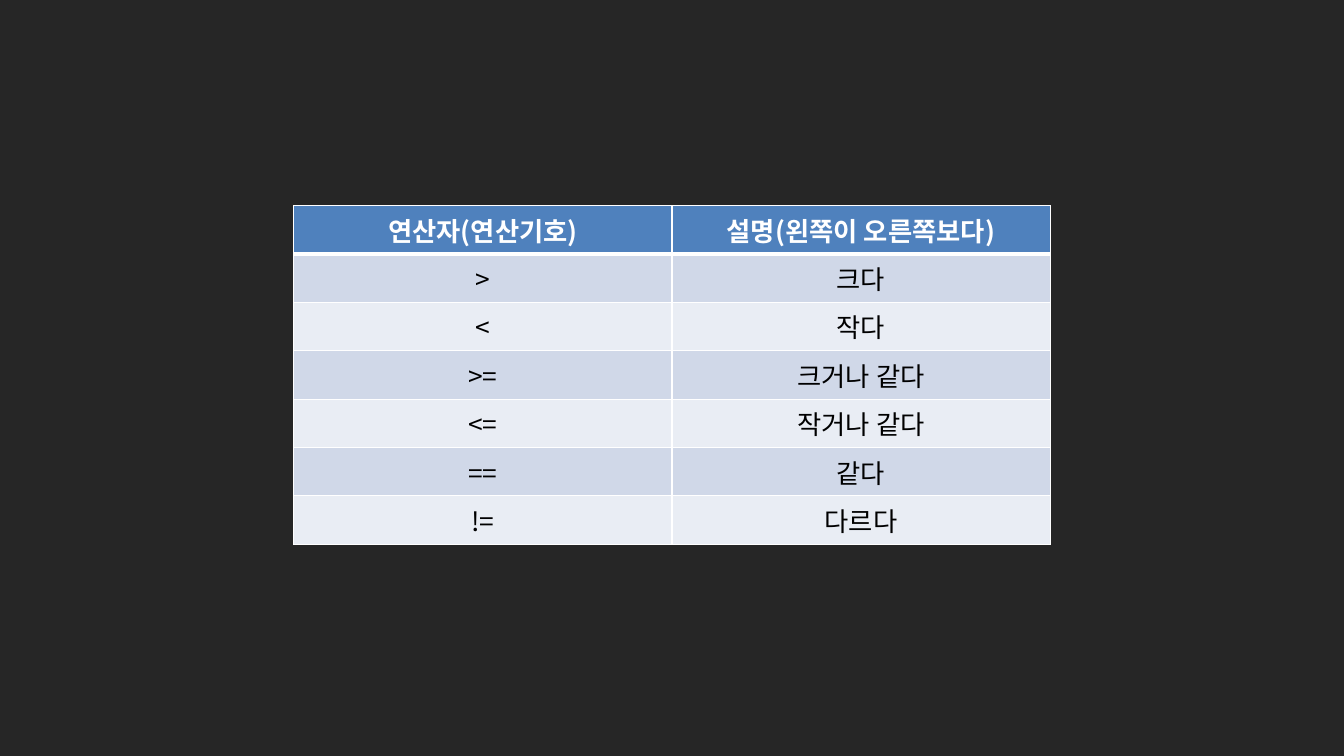
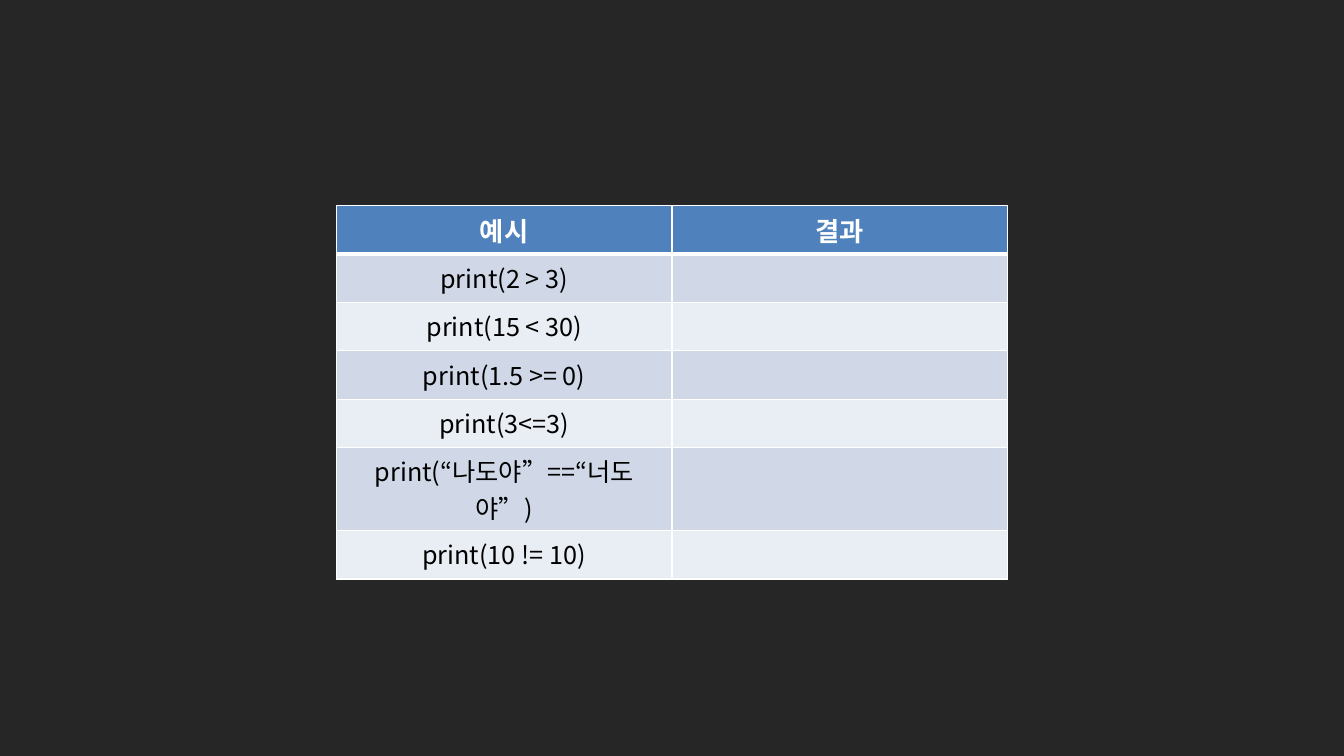
from dataclasses import dataclass

from lxml import etree
from pptx import Presentation
from pptx.dml.color import RGBColor
from pptx.enum import text
from pptx.oxml import ns
from pptx.util import Inches, Pt


@dataclass(frozen=True)
class Theme:
    font: str = "Noto Sans CJK KR"
    background: str = "262626"
    header_fill: str = "4F81BD"
    header_text: str = "FFFFFF"
    body_text: str = "000000"
    bands: tuple = ("D0D8E8", "E9EDF4")
    border: str = "FFFFFF"
    thin_line: float = 1
    header_line: float = 3
    header_size: float = 18.8


SLIDE_WIDTH, SLIDE_HEIGHT = 13.33, 7.5
TABLE_TOP = 2.04
ROW_HEIGHT = 0.48

OPERATORS = [
    ("연산자(연산기호)", "설명(왼쪽이 오른쪽보다)"),
    (">", "크다"),
    ("<", "작다"),
    (">=", "크거나 같다"),
    ("<=", "작거나 같다"),
    ("==", "같다"),
    ("!=", "다르다"),
]
EXAMPLES = [
    ("예시", "결과"),
    ("print(2 > 3)", ""),
    ("print(15 < 30)", ""),
    ("print(1.5 >= 0)", ""),
    ("print(3<=3)", ""),
    ("print(“나도야”==“너도야”)", ""),
    ("print(10 != 10)", ""),
]


class Deck:
    def __init__(self, theme):
        self.theme = theme
        self.presentation = Presentation()
        self.presentation.slide_width = Inches(SLIDE_WIDTH)
        self.presentation.slide_height = Inches(SLIDE_HEIGHT)
        self.slide = None

    def add_slide(self):
        blank_layout = self.presentation.slide_layouts[6]
        self.slide = self.presentation.slides.add_slide(blank_layout)
        fill = self.slide.background.fill
        fill.solid()
        fill.fore_color.rgb = RGBColor.from_string(self.theme.background)

    def add_table(self, rows, column_width, body_size):
        """Add a horizontally centred table whose first row is the header."""
        column_count = len(rows[0])
        width = column_width * column_count
        table = self.slide.shapes.add_table(
            len(rows), column_count,
            Inches((SLIDE_WIDTH - width) / 2), Inches(TABLE_TOP),
            Inches(width), Inches(ROW_HEIGHT * len(rows)),
        ).table
        for row_index, row in enumerate(rows):
            for column_index, content in enumerate(row):
                cell = table.cell(row_index, column_index)
                self.set_borders(cell, row_index)
                self.set_fill(cell, row_index)
                self.set_text(cell, content, row_index == 0, body_size)

    def set_borders(self, cell, row_index):
        theme = self.theme
        widths = dict.fromkeys(("lnL", "lnR", "lnT", "lnB"), theme.thin_line)
        if row_index == 0:
            widths["lnB"] = theme.header_line
        elif row_index == 1:
            widths["lnT"] = theme.header_line
        properties = cell._tc.get_or_add_tcPr()
        for side, width in widths.items():
            line = etree.SubElement(properties, ns.qn(f"a:{side}"), w=str(Pt(width)))
            fill = etree.SubElement(line, ns.qn("a:solidFill"))
            etree.SubElement(fill, ns.qn("a:srgbClr"), val=theme.border)

    def set_fill(self, cell, row_index):
        bands = self.theme.bands
        color = bands[(row_index - 1) % len(bands)] if row_index else self.theme.header_fill
        cell.fill.solid()
        cell.fill.fore_color.rgb = RGBColor.from_string(color)

    def set_text(self, cell, content, is_header, body_size):
        theme = self.theme
        cell.text = content
        paragraph = cell.text_frame.paragraphs[0]
        paragraph.alignment = text.PP_ALIGN.CENTER
        font = paragraph.font
        font.size = Pt(theme.header_size if is_header else body_size)
        font.bold = is_header
        font.color.rgb = RGBColor.from_string(
            theme.header_text if is_header else theme.body_text)
        font.name = theme.font
        font_properties = paragraph._p.pPr.find(ns.qn("a:defRPr"))
        etree.SubElement(font_properties, ns.qn("a:ea"), typeface=theme.font)


def main():
    deck = Deck(Theme())
    deck.add_slide()
    deck.add_table(OPERATORS, column_width=3.75, body_size=18.8)
    deck.add_slide()
    deck.add_table(EXAMPLES, column_width=3.33, body_size=18)
    deck.presentation.save("out.pptx")


if __name__ == "__main__":
    main()
